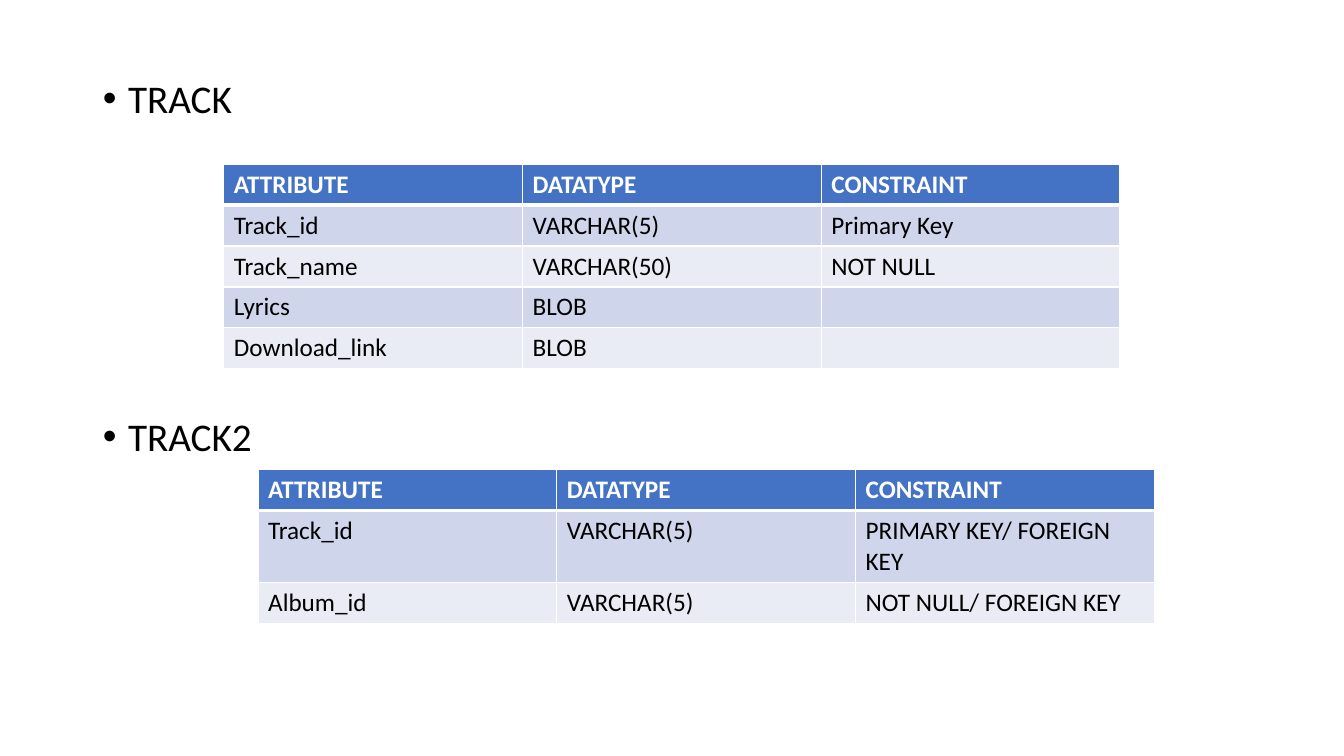
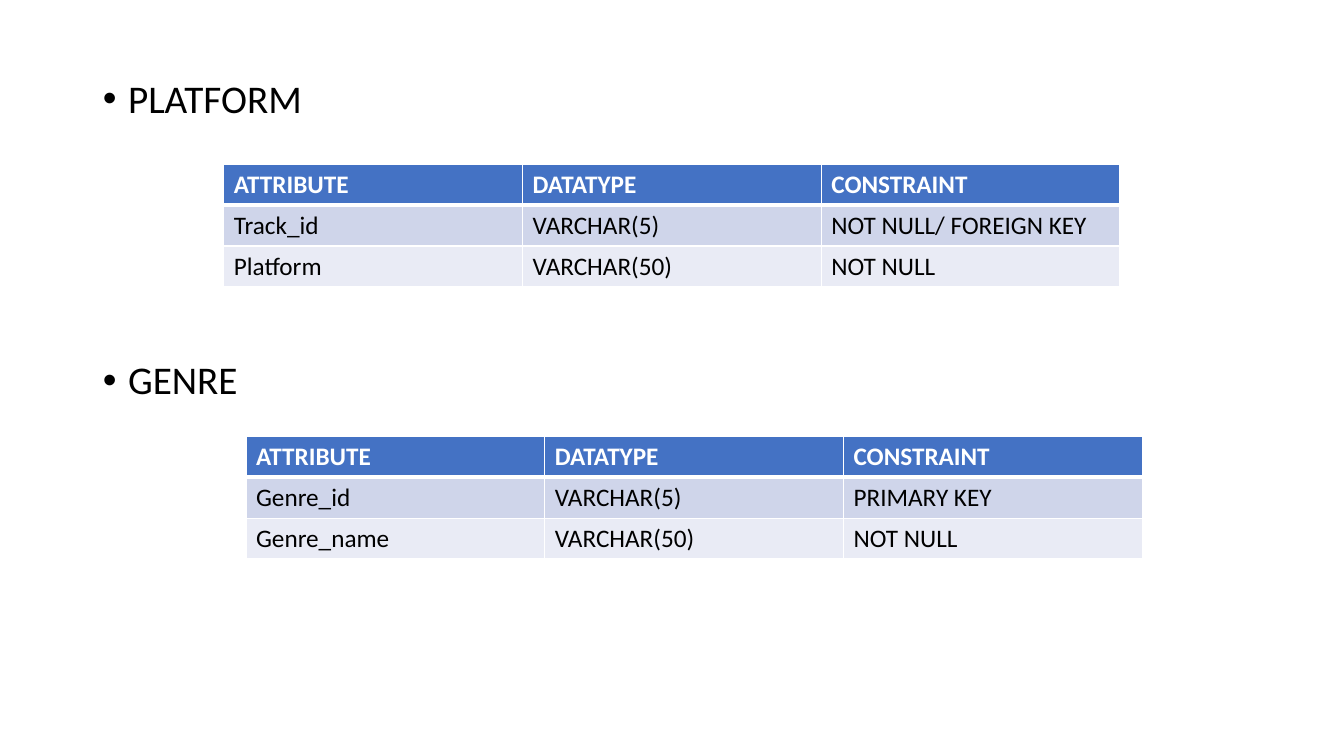
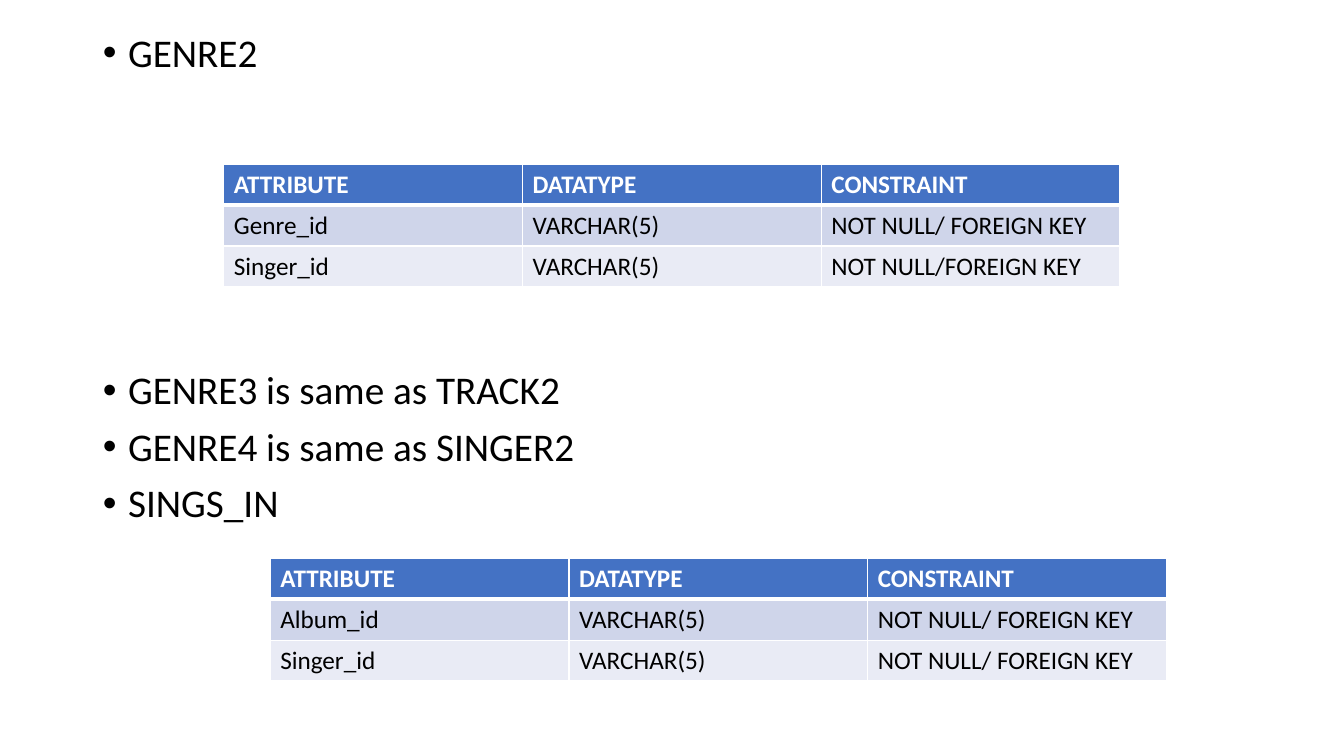
from lxml import etree
from pptx import Presentation
from pptx import util as u
from pptx.dml import color
from pptx.enum import text
from pptx.oxml import ns

COLORS = {
    "ink": "000000",
    "paper": "FFFFFF",
    "header": "4472C4",
    "odd": "CFD5EA",
    "even": "E9EBF5",
}
FONT = "Calibri"
TABLE_WIDTH, ROW_HEIGHT = 8.89, 0.4
LIST_LEFT, LIST_WIDTH, LIST_BOTTOM = 0.92, 11.5, 6.76
SPACE_BEFORE, LINE_PITCH = 10, 40.2
HEADINGS = ("ATTRIBUTE", "DATATYPE", "CONSTRAINT")

SLIDES = [
    {
        "top": 0.74,
        "items": [("TRACK", 0), ("TRACK2", 5)],
        "tables": [
            (2.22, 1.63, [
                ("Track_id", "VARCHAR(5)", "Primary Key"),
                ("Track_name", "VARCHAR(50)", "NOT NULL"),
                ("Lyrics", "BLOB", ""),
                ("Download_link", "BLOB", ""),
            ]),
            (2.56, 4.66, [
                ("Track_id", "VARCHAR(5)", "PRIMARY KEY/ FOREIGN KEY"),
                ("Album_id", "VARCHAR(5)", "NOT NULL/ FOREIGN KEY"),
            ]),
        ],
    },
    {
        "top": 0.74,
        "items": [("PLATFORM", 0), ("GENRE", 4)],
        "tables": [
            (2.22, 1.63, [
                ("Track_id", "VARCHAR(5)", "NOT NULL/ FOREIGN KEY"),
                ("Platform", "VARCHAR(50)", "NOT NULL"),
            ]),
            (2.44, 4.33, [
                ("Genre_id", "VARCHAR(5)", "PRIMARY KEY"),
                ("Genre_name", "VARCHAR(50)", "NOT NULL"),
            ]),
        ],
    },
    {
        "top": 0.28,
        "items": [
            ("GENRE2", 0),
            ("GENRE3 is same as TRACK2", 5),
            ("GENRE4 is same as SINGER2", 0),
            ("SINGS_IN", 0),
        ],
        "tables": [
            (2.22, 1.63, [
                ("Genre_id", "VARCHAR(5)", "NOT NULL/ FOREIGN KEY"),
                ("Singer_id", "VARCHAR(5)", "NOT NULL/FOREIGN KEY"),
            ]),
            (2.68, 5.54, [
                ("Album_id", "VARCHAR(5)", "NOT NULL/ FOREIGN KEY"),
                ("Singer_id", "VARCHAR(5)", "NOT NULL/ FOREIGN KEY"),
            ]),
        ],
    },
]


def rgb(name):
    return color.RGBColor.from_string(COLORS[name])


def set_values(target, values):
    for name, value in values.items():
        setattr(target, name, value)


def add_span(para, words, size, ink, bold=False):
    span = para.add_run()
    span.text = words
    set_values(span.font, {"name": FONT, "size": u.Pt(size), "bold": bold})
    span.font.color.rgb = rgb(ink)


def add_bullet(para):
    properties = para._p.get_or_add_pPr()
    properties.set("marL", str(u.Inches(0.25)))
    properties.set("indent", str(-u.Inches(0.25)))
    etree.SubElement(properties, ns.qn("a:buFont")).set("typeface", "Arial")
    etree.SubElement(properties, ns.qn("a:buChar")).set("char", "•")


def fill_list(box, top, items):
    set_values(box, {
        "left": u.Inches(LIST_LEFT),
        "top": u.Inches(top),
        "width": u.Inches(LIST_WIDTH),
        "height": u.Inches(LIST_BOTTOM - top),
    })
    frame = box.text_frame
    set_values(frame, {
        "word_wrap": True,
        "auto_size": text.MSO_AUTO_SIZE.NONE,
        "vertical_anchor": text.MSO_ANCHOR.TOP,
    })
    for index, (words, skipped_lines) in enumerate(items):
        para = frame.add_paragraph() if index else frame.paragraphs[0]
        add_bullet(para)
        space = SPACE_BEFORE + skipped_lines * LINE_PITCH if index else 0
        set_values(para, {"line_spacing": 0.9, "space_before": u.Pt(space)})
        add_span(para, words, 28, "ink")


def add_borders(cell, row):
    widths = {
        "lnL": 1,
        "lnR": 1,
        "lnT": 3 if row == 1 else 1,
        "lnB": 3 if row == 0 else 1,
    }
    properties = cell._tc.get_or_add_tcPr()
    for tag, width in widths.items():
        line = etree.SubElement(properties, ns.qn("a:" + tag))
        line.set("w", str(u.Pt(width)))
        fill = etree.SubElement(line, ns.qn("a:solidFill"))
        etree.SubElement(fill, ns.qn("a:srgbClr")).set("val", COLORS["paper"])


def add_attribute_table(page, left, top, records):
    rows = [HEADINGS, *records]
    table = page.shapes.add_table(
        len(rows), len(HEADINGS), u.Inches(left), u.Inches(top),
        u.Inches(TABLE_WIDTH), u.Inches(ROW_HEIGHT * len(rows)),
    ).table
    for row, values in enumerate(rows):
        is_header = row == 0
        shade = "header" if is_header else ("even", "odd")[row % 2]
        for column, words in enumerate(values):
            cell = table.cell(row, column)
            add_borders(cell, row)
            cell.fill.solid()
            cell.fill.fore_color.rgb = rgb(shade)
            if words:
                add_span(cell.text_frame.paragraphs[0], words, 18,
                         "paper" if is_header else "ink", is_header)


def add_schema_slide(deck, top, items, tables):
    page = deck.slides.add_slide(deck.slide_layouts[1])
    title = page.shapes.title._element
    title.getparent().remove(title)
    fill_list(page.placeholders[1], top, items)
    for left, table_top, records in tables:
        add_attribute_table(page, left, table_top, records)


def main():
    deck = Presentation()
    set_values(deck, {
        "slide_width": u.Inches(13.33),
        "slide_height": u.Inches(7.5),
    })
    background = deck.slide_master.background.fill
    background.solid()
    background.fore_color.rgb = rgb("paper")
    for content in SLIDES:
        add_schema_slide(deck, **content)
    deck.save("out.pptx")


if __name__ == "__main__":
    main()
